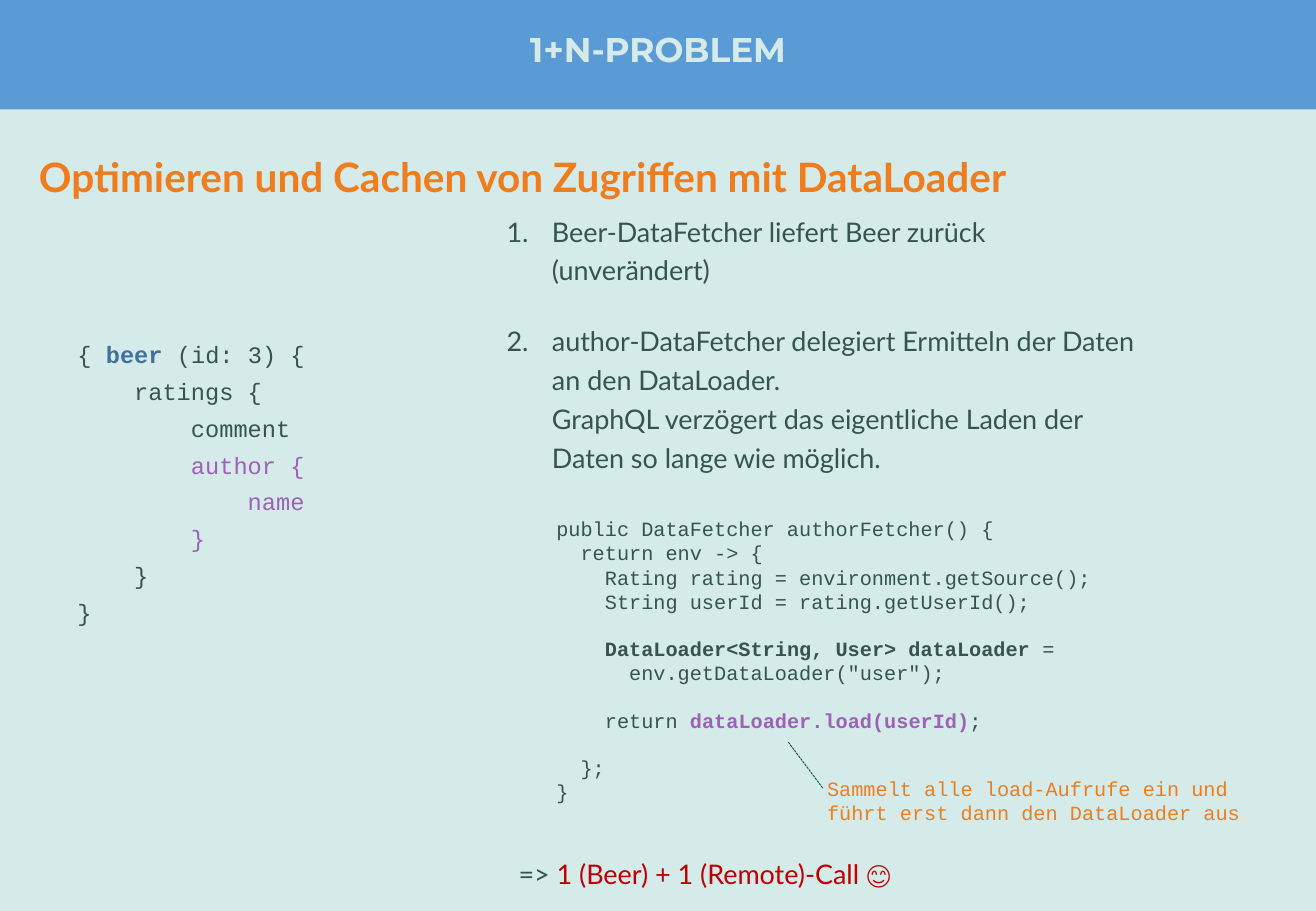
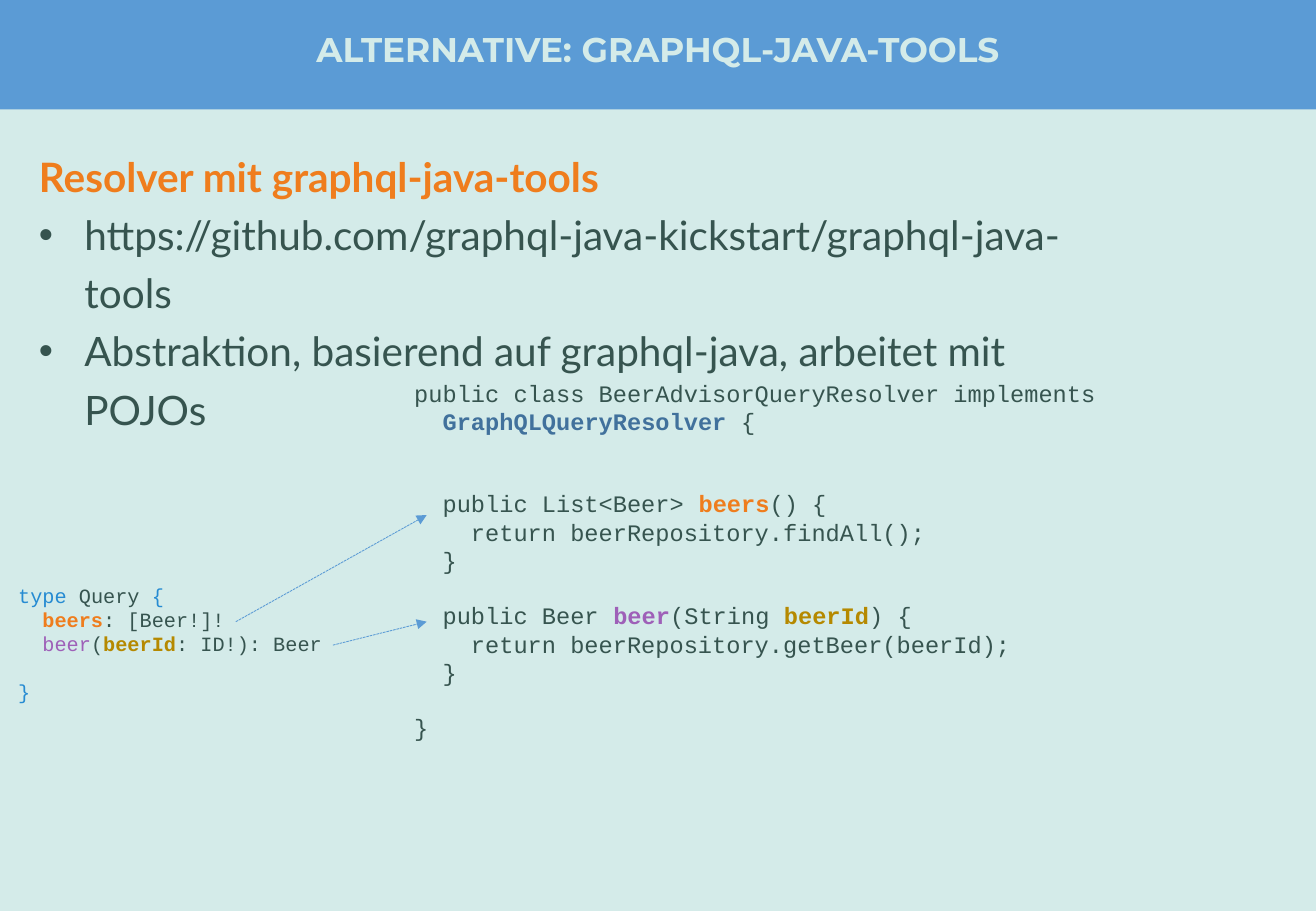
from pptx import Presentation
from pptx.dml.color import RGBColor as RGB
from pptx.enum.dml import MSO_LINE as Dash
from pptx.enum.shapes import MSO_CONNECTOR as Conn, MSO_SHAPE as Geo
from pptx.enum.text import MSO_ANCHOR as Anchor, MSO_AUTO_SIZE as Fit, PP_ALIGN as Align
from pptx.oxml.ns import qn
from pptx.util import Cm, Pt
from lxml.etree import SubElement as Sub

# Colours
PALE = RGB(0xD4, 0xEB, 0xE9)
BLUE = RGB(0x5B, 0x9B, 0xD5)
DARK = RGB(0x36, 0x54, 0x4F)
PINE = RGB(0x02, 0x52, 0x49)
ORANGE = RGB(0xEF, 0x7D, 0x1D)
NAVY = RGB(0x41, 0x71, 0x9C)
PURPLE = RGB(0x9E, 0x60, 0xB8)
CYAN = RGB(0x26, 0x8B, 0xD2)
GOLD = RGB(0xB5, 0x89, 0x00)
RED = RGB(0xC0, 0x00, 0x00)

# Text styles
TITLE = dict(name="Montserrat", size=Pt(20.3), bold=True, color=PALE)
HEAD = dict(name="Lato", size=Pt(24), bold=True, color=ORANGE)
LIST = dict(HEAD, bold=False, color=DARK)
TEXT = dict(LIST, size=Pt(16))
CODE = dict(name="Courier New", size=Pt(14), bold=False, color=DARK)
SMALL = dict(CODE, size=Pt(12))
NOTE = dict(SMALL, color=ORANGE)

WIDTH, HEIGHT = Cm(27.51), Cm(19.05)
INDENT = Cm(0.95)
MONO = 1.133  # line height of the code font, relative to its size


class Deck:
    """Holds the shared style and the current slide."""

    def __init__(self):
        self.prs = Presentation()
        self.prs.slide_width, self.prs.slide_height = WIDTH, HEIGHT
        self.slide = None

    def start(self, title):
        self.slide = self.prs.slides.add_slide(self.prs.slide_layouts[1])
        fill = self.slide.background.fill
        fill.solid()
        fill.fore_color.rgb = PALE
        shapes = self.slide.shapes
        # Band, kept behind the title
        band = shapes.add_shape(Geo.RECTANGLE, 0, 0, WIDTH, Cm(2.29))
        band.shadow.inherit = False
        band.fill.solid()
        band.fill.fore_color.rgb = BLUE
        band.line.fill.background()
        shapes.element.insert(2, band.element)
        # Title
        frame = self.place(shapes.title, 0, 0, 27.51, 2.16)
        frame.vertical_anchor = Anchor.MIDDLE
        for side in ("left", "right", "top", "bottom"):
            setattr(frame, f"margin_{side}", 0)
        self.fill(frame.paragraphs[0], [title], TITLE, 0.9)
        frame.paragraphs[0].alignment = Align.CENTER

    def place(self, shape, x, y, w, h):
        shape.left, shape.top, shape.width, shape.height = map(Cm, (x, y, w, h))
        frame = shape.text_frame
        frame.word_wrap, frame.auto_size = True, Fit.NONE
        frame.vertical_anchor = Anchor.TOP
        return frame

    def box(self, *at):
        return self.place(self.slide.shapes.add_textbox(0, 0, 0, 0), *at)

    def fill(self, para, parts, style, space=1.0):
        """A part is a text, or a text with a colour and perhaps bold."""
        para.line_spacing, para.space_before = space, Pt(0)
        for part in parts:
            text, *own = (part,) if isinstance(part, str) else part
            form = dict(style, **dict(zip(("color", "bold"), own)))
            for num, line in enumerate(text.split("\n")):
                if num:
                    para.add_line_break()
                run = para.add_run()
                run.text = line
                for key, val in form.items():
                    if key == "color":
                        run.font.color.rgb = val
                    else:
                        setattr(run.font, key, val)

    def mark(self, para, tag, indent=INDENT, **attrs):
        props = para._p.get_or_add_pPr()
        props.set("marL", str(indent))
        props.set("indent", str(-indent))
        if tag != "a:buNone":
            Sub(props, qn("a:buFont"), typeface="Arial" if tag == "a:buChar" else "+mj-lt")
        Sub(props, qn(tag), attrs)

    def body(self, head, items, w, h):
        frame = self.place(self.slide.placeholders[1], 0.56, 2.84, w, h)
        para = frame.paragraphs[0]
        self.mark(para, "a:buNone", 0)
        self.fill(para, [head], HEAD, 1.2)
        for item in items:
            para = frame.add_paragraph()
            self.mark(para, "a:buChar", char="•")
            self.fill(para, [item], LIST, 1.2)

    def step(self, num, text, *at):
        para = self.box(*at).paragraphs[0]
        self.mark(para, "a:buAutoNum", type="arabicPeriod", startAt=str(num))
        self.fill(para, [text], TEXT, 1.2)

    def text(self, parts, style, *at, space=1.0):
        self.fill(self.box(*at).paragraphs[0], parts, style, space)

    def code(self, lines, style, *at, space=1.0):
        """One paragraph a line; an empty line becomes space before the next."""
        frame, gap, para = self.box(*at), 0, None
        for line in lines:
            if not line:
                gap += 1
                continue
            para = frame.add_paragraph() if para else frame.paragraphs[0]
            self.fill(para, line, style, space)
            para.space_before = Pt(round(gap * style["size"].pt * MONO, 1))
            gap = 0

    def line(self, x1, y1, x2, y2, color, head=False):
        link = self.slide.shapes.add_connector(Conn.STRAIGHT, *map(Cm, (x1, y1, x2, y2)))
        pen = link.line
        pen.color.rgb, pen.width, pen.dash_style = color, Pt(0.5), Dash.SQUARE_DOT
        if head:
            Sub(pen._get_or_add_ln(), qn("a:tailEnd"), type="triangle")
        Sub(link.element.spPr, qn("a:effectLst"))


def loader(deck):
    deck.start("1+N-PROBLEM")
    deck.body("Optimieren und Cachen von Zugriffen mit DataLoader", [], 26.4, 1.4)

    # Query
    deck.code([
        ["{ ", ("beer", NAVY, True), " (id: 3) {"],
        ["    ratings {"],
        ["        comment"],
        [("        author {", PURPLE)],
        [("            name", PURPLE)],
        [("        }", PURPLE)],
        ["    }"],
        ["}"],
    ], CODE, 1.37, 6.81, 6.58, 6.43, space=1.3)

    # Steps
    deck.step(1, "Beer-DataFetcher liefert Beer zurück\n(unverändert)",
              10.34, 4.24, 13.77, 1.83)
    deck.step(2, "author-DataFetcher delegiert Ermitteln der Daten\nan den DataLoader.\n"
              "GraphQL verzögert das eigentliche Laden der Daten so lange wie möglich.",
              10.34, 6.53, 13.77, 3.48)

    # Fetcher code with its note
    deck.code([
        ["public DataFetcher authorFetcher() {"],
        ["  return env -> {"],
        ["    Rating rating = environment.getSource();"],
        ["    String userId = rating.getUserId();"],
        [],
        ["    ", ("DataLoader<String, User> dataLoader", DARK, True), " ="],
        ['      env.getDataLoader("user");'],
        [],
        ["    return ", ("dataLoader.load(userId)", PURPLE, True), ";"],
        [],
        ["  };"],
        ["}"],
    ], SMALL, 11.38, 10.67, 15.8, 6.4)
    deck.text(["Sammelt alle load-Aufrufe ein und führt erst dann den DataLoader aus"],
              NOTE, 17.04, 16.1, 9.96, 1.27)
    deck.line(17.2, 16.48, 16.48, 15.52, PINE)

    # Result
    deck.text(["=> ", ("1 (Beer) + 1 (Remote)-Call 😊", RED)], TEXT,
              10.59, 17.68, 13.77, 1.04, space=1.2)


def tools(deck):
    deck.start("ALTERNATIVE: GRAPHQL-JAVA-TOOLS")
    deck.body("Resolver mit graphql-java-tools", [
        "https://github.com/graphql-java-kickstart/graphql-java-tools",
        "Abstraktion, basierend auf graphql-java, arbeitet mit POJOs",
    ], 23.34, 3.86)

    # Schema
    deck.code([
        [("type ", CYAN), "Query ", ("{", CYAN)],
        ["  ", ("beers", ORANGE, True), ": [Beer!]!"],
        ["  ", ("beer", PURPLE), "(", ("beerId", GOLD, True), ": ID!): Beer"],
        [],
        [("}", CYAN)],
    ], SMALL, 0.13, 12.07, 7.34, 2.82)

    # Resolver code
    deck.code([
        ["public class BeerAdvisorQueryResolver implements"],
        ["  ", ("GraphQLQueryResolver", NAVY, True), " {"],
        [],
        [],
        ["  public List<Beer> ", ("beers", ORANGE, True), "() {"],
        ["    return beerRepository.findAll();"],
        ["  }"],
        [],
        ["  public Beer ", ("beer", PURPLE, True), "(String ", ("beerId", GOLD, True), ") {"],
        ["    return beerRepository.getBeer(beerId);"],
        ["  }"],
        [],
        ["}"],
    ], CODE, 8.41, 7.8, 18.59, 8.13)

    # Arrows from each field to its method
    deck.line(4.93, 13, 8.92, 10.77, BLUE, head=True)
    deck.line(6.96, 13.49, 8.92, 13, BLUE, head=True)


def main():
    deck = Deck()
    loader(deck)
    tools(deck)
    deck.prs.save("out.pptx")


if __name__ == "__main__":
    main()
